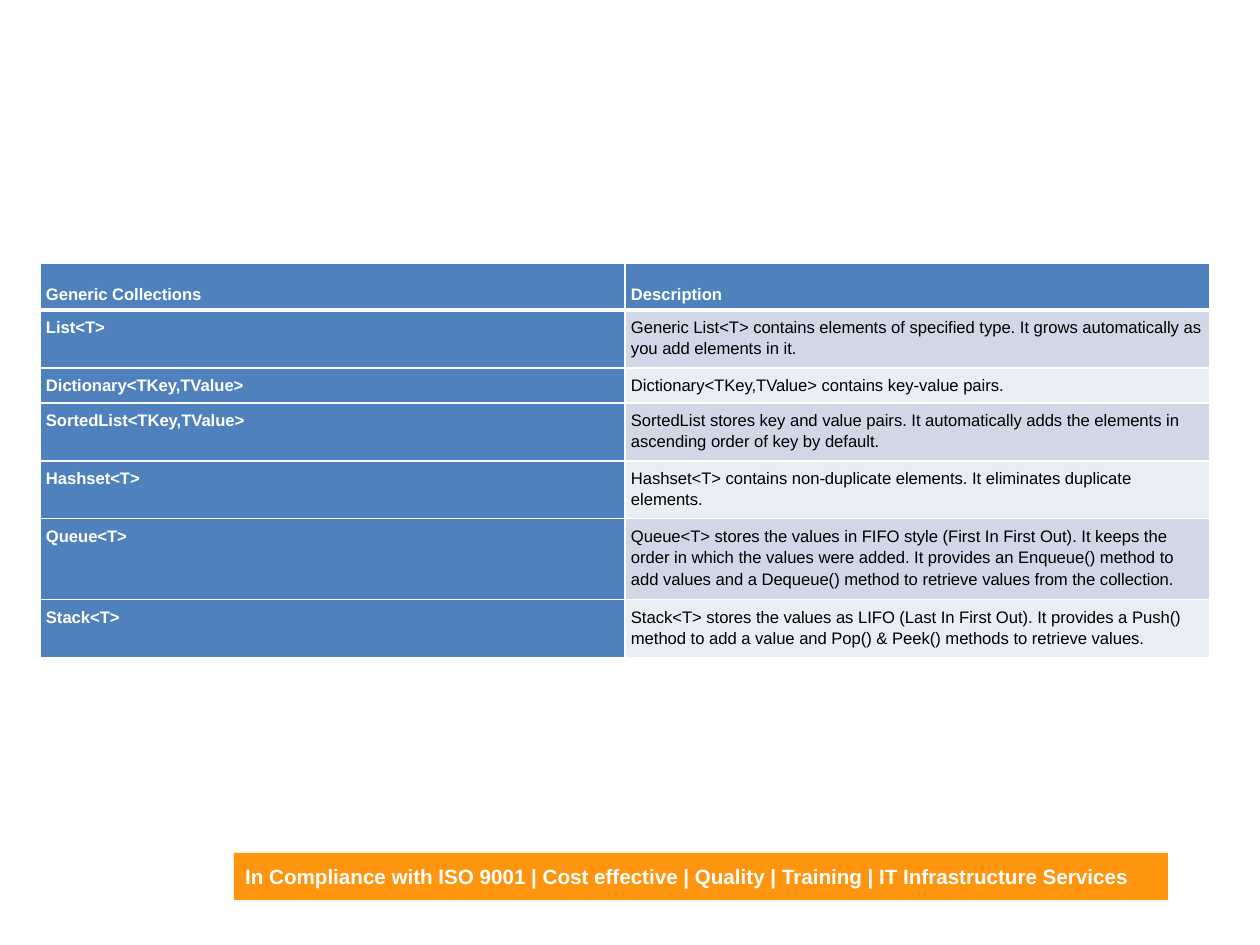
from pptx import Presentation
from pptx.dml.color import RGBColor
from pptx.enum.shapes import MSO_SHAPE as Shape
from pptx.enum.text import MSO_ANCHOR as Anchor, PP_ALIGN as Align
from pptx.oxml import parse_xml
from pptx.oxml.ns import nsdecls
from pptx.util import Pt

PX = 8000  # EMU per px
WHITE, BLACK, BLUE, ORANGE = "FFFFFF", "000000", "4F81BD", "FF950E"
BANDS = ["D0D8E8", "E9EDF4"]


def color(value):
    return RGBColor.from_string(value)


def write(para, text, size, ink, bold):
    span = para.add_run()
    span.text = text
    span.font.name = "Arial"
    span.font.size = Pt(size)
    span.font.bold = bold
    span.font.color.rgb = color(ink)


deck = Presentation()
deck.slide_width, deck.slide_height = 1260 * PX, 945 * PX
page = deck.slides.add_slide(deck.slide_layouts[6])

# Footer banner
banner = page.shapes.add_shape(Shape.RECTANGLE, 234 * PX, 853 * PX, 934 * PX, 47 * PX)
banner.shadow.inherit = False
banner.fill.solid()
banner.fill.fore_color.rgb = color(ORANGE)
banner.line.fill.background()
banner.text_frame.word_wrap = True
banner.text_frame.vertical_anchor = Anchor.MIDDLE
para = banner.text_frame.paragraphs[0]
para.alignment = Align.LEFT
write(para, "In Compliance with ISO 9001 | Cost effective | Quality | Training | "
      "IT Infrastructure Services", 13, WHITE, True)

# Collections table: row height, name, description
rows = [
    (47, "Generic Collections", "Description"),
    (58, "List<T>", "Generic List<T> contains elements of specified type. "
     "It grows automatically as you add elements in it."),
    (35, "Dictionary<TKey,TValue>", "Dictionary<TKey,TValue> contains key-value pairs."),
    (58, "SortedList<TKey,TValue>", "SortedList stores key and value pairs. "
     "It automatically adds the elements in ascending order of key by default."),
    (58, "Hashset<T>", "Hashset<T> contains non-duplicate elements. "
     "It eliminates duplicate elements."),
    (81, "Queue<T>", "Queue<T> stores the values in FIFO style (First In First Out). "
     "It keeps the order in which the values were added. It provides an Enqueue() method "
     "to add values and a Dequeue() method to retrieve values from the collection."),
    (58, "Stack<T>", "Stack<T> stores the values as LIFO (Last In First Out). "
     "It provides a Push() method to add a value and Pop() & Peek() methods "
     "to retrieve values."),
]
total = sum(height for height, *texts in rows)
table = page.shapes.add_table(len(rows), 2, 40 * PX, 263 * PX, 1170 * PX, total * PX).table
for column in table.columns:
    column.width = 585 * PX

for r, (height, *texts) in enumerate(rows):
    table.rows[r].height = height * PX
    for c, text in enumerate(texts):
        cell = table.cell(r, c)
        heading = r == 0 or c == 0
        cell.margin_left = cell.margin_right = 6 * PX
        cell.margin_top = cell.margin_bottom = 6 * PX
        cell.vertical_anchor = Anchor.BOTTOM if r == 0 else Anchor.TOP
        para = cell.text_frame.paragraphs[0]
        para.line_spacing = 1.15
        para.space_after = Pt(15)
        write(para, text, 10.5, WHITE if heading else BLACK, heading)

        # White borders, thick under the header row
        top = 3 if r == 1 else 1
        bottom = 3 if r == 0 else 1
        for side, width in (("L", 1), ("R", 1), ("T", top), ("B", bottom)):
            cell._tc.get_or_add_tcPr().append(parse_xml(
                f'<a:ln{side} {nsdecls("a")} w="{Pt(width)}"><a:solidFill>'
                f'<a:srgbClr val="{WHITE}"/></a:solidFill></a:ln{side}>'))
        cell.fill.solid()
        cell.fill.fore_color.rgb = color(BLUE if heading else BANDS[(r - 1) % 2])

deck.save("out.pptx")
